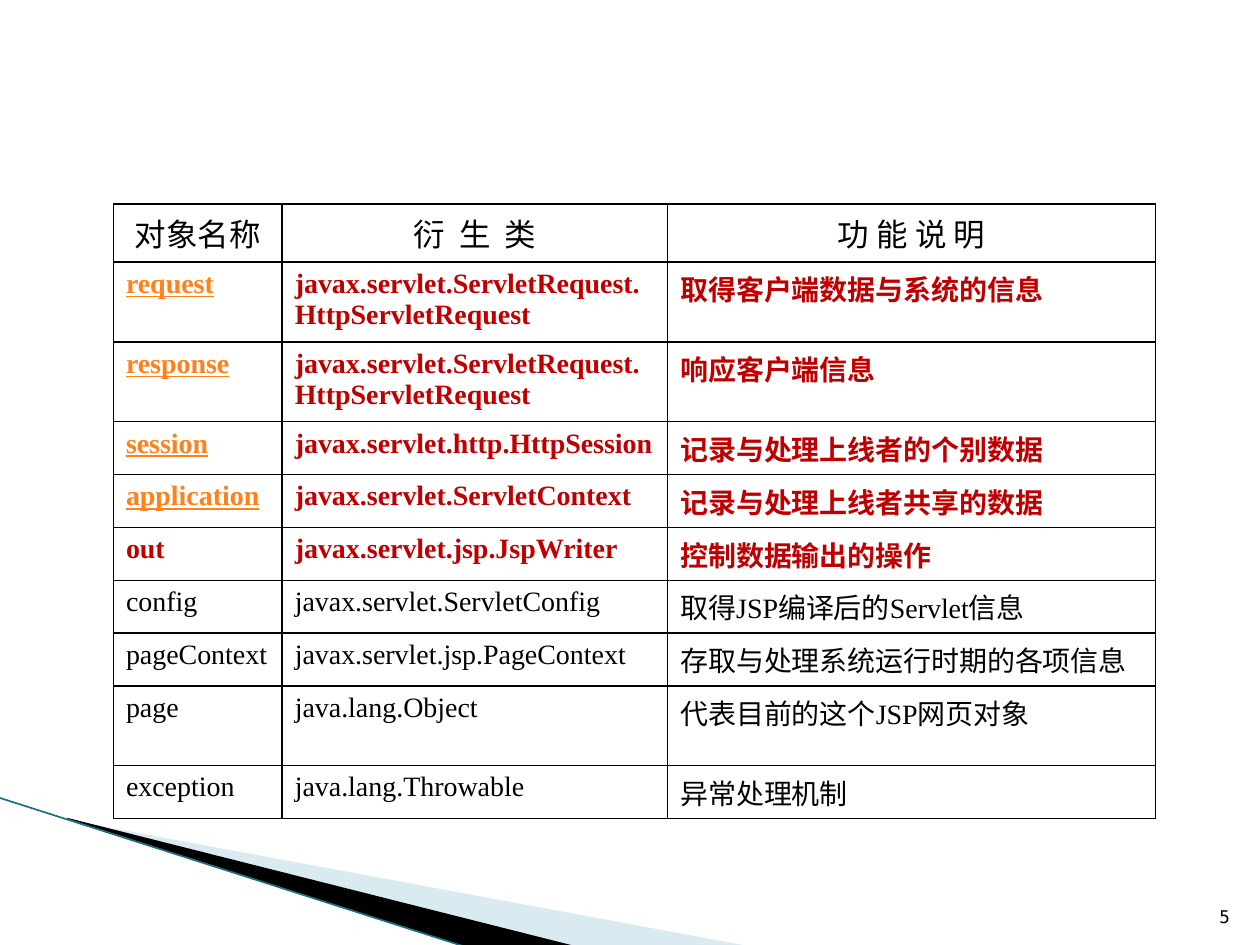
from lxml import etree
from pptx import Presentation
from pptx import util as u
from pptx.dml.color import RGBColor
from pptx.enum import shapes, text
from pptx.oxml import parse_xml
from pptx.oxml.ns import nsdecls, qn

COLORS = {
    "ink": "000000",
    "key": "C00000",
    "link": "FF8119",
    "pale": "A0CBDC",
    "edge": "1B6E83",
}
HEADINGS = ["对象名称", "衍  生  类", "功 能 说 明"]
REQUEST_CLASS = "javax.servlet.ServletRequest.\nHttpServletRequest"
OBJECTS = [
    ("request", REQUEST_CLASS, "取得客户端数据与系统的信息"),
    ("response", REQUEST_CLASS, "响应客户端信息"),
    ("session", "javax.servlet.http.HttpSession", "记录与处理上线者的个别数据"),
    ("application", "javax.servlet.ServletContext", "记录与处理上线者共享的数据"),
    ("out", "javax.servlet.jsp.JspWriter", "控制数据输出的操作"),
    ("config", "javax.servlet.ServletConfig", "取得JSP编译后的Servlet信息"),
    ("pageContext", "javax.servlet.jsp.PageContext", "存取与处理系统运行时期的各项信息"),
    ("page", "java.lang.Object", "代表目前的这个JSP网页对象"),
    ("exception", "java.lang.Throwable", "异常处理机制"),
]
LINKED = {"request", "response", "session", "application"}
KEY_OBJECTS = LINKED | {"out"}
TALL_ROWS = {"request", "response", "page"}
COLUMN_WIDTHS = [1.34, 3.06, 3.87]


def rgb(name):
    return RGBColor.from_string(COLORS[name])


class SlideBuilder:
    def __init__(self, page):
        self.page = page

    def style(self, para, font, size, color="ink", bold=False, underline=False):
        para.font.name = font
        para.font.size = u.Pt(size)
        para.font.color.rgb = rgb(color)
        para.font.bold = bold
        para.font.underline = underline

    def wedge(self, points, color, opacity=100):
        corners = [(u.Inches(x), u.Inches(y)) for x, y in points]
        builder = self.page.shapes.build_freeform(*corners[0])
        builder.add_line_segments(corners[1:], close=True)
        shape = builder.convert_to_shape()
        shape.shadow.inherit = False
        shape.line.fill.background()
        shape.fill.solid()
        shape.fill.fore_color.rgb = rgb(color)
        if opacity < 100:
            fill_color = shape._element.spPr.find(".//" + qn("a:srgbClr"))
            etree.SubElement(fill_color, qn("a:alpha"), val=str(opacity * 1000))

    def line(self, start, end, color, width):
        ends = [u.Inches(value) for value in (*start, *end)]
        line = self.page.shapes.add_connector(shapes.MSO_CONNECTOR.STRAIGHT, *ends)
        line.line.color.rgb = rgb(color)
        line.line.width = u.Pt(width)
        etree.SubElement(line._element.spPr, qn("a:effectLst"))

    def label(self, words, left, top, width, height):
        box = self.page.shapes.add_textbox(
            u.Inches(left), u.Inches(top), u.Inches(width), u.Inches(height))
        frame = box.text_frame
        frame.word_wrap = True
        frame.vertical_anchor = text.MSO_ANCHOR.BOTTOM
        para = frame.paragraphs[0]
        para.text = words
        para.alignment = text.PP_ALIGN.RIGHT
        self.style(para, "DejaVu Sans Mono", 10)

    def table(self, left, top, widths, heights):
        frame = self.page.shapes.add_table(
            len(heights), len(widths), u.Inches(left), u.Inches(top),
            u.Inches(sum(widths)), u.Inches(sum(heights)))
        table = frame.table
        table.first_row = table.horz_banding = False
        for column, width in zip(table.columns, widths):
            column.width = u.Inches(width)
        for row, height in zip(table.rows, heights):
            row.height = u.Inches(height)
        return table

    def cell(self, cell, words, borders, centered=False, **style):
        cell.text = words
        cell.fill.background()
        for para in cell.text_frame.paragraphs:
            if centered:
                para.alignment = text.PP_ALIGN.CENTER
            self.style(para, **style)
        properties = cell._tc.get_or_add_tcPr()
        for index, (side, width) in enumerate(borders.items()):
            properties.insert(index, parse_xml(
                f'<a:ln{side} {nsdecls("a")} w="{u.Pt(width)}"><a:solidFill>'
                f'<a:srgbClr val="{COLORS["ink"]}"/></a:solidFill></a:ln{side}>'))


def main():
    deck = Presentation()
    deck.slide_width, deck.slide_height = u.Inches(10), u.Inches(7.5)
    page = deck.slides.add_slide(deck.slide_layouts[6])
    builder = SlideBuilder(page)

    # Corner decoration
    builder.wedge([(0.55, 6.51), (5.95, 7.51), (4.56, 7.51), (0.55, 6.5)], "pale", 40)
    builder.wedge([(0.53, 6.49), (4.57, 7.51), (3.72, 7.52), (0.54, 6.5)], "ink")
    builder.line((-0.01, 6.33), (3.71, 7.52), "edge", 0.95)

    # Page number
    builder.label("5", 9.46, 7.01, 0.4, 0.4)

    # Table of implicit objects
    heights = [0.46] + [0.63 if row[0] in TALL_ROWS else 0.42 for row in OBJECTS]
    table = builder.table(0.9, 1.62, COLUMN_WIDTHS, heights)
    last = len(COLUMN_WIDTHS) - 1
    for r, row in enumerate([HEADINGS, *OBJECTS]):
        for c, words in enumerate(row):
            borders = {"L": 1 if c else 0.75, "R": 0.75 if c == last else 1,
                       "T": 1, "B": 1}
            if r == 0:
                style = dict(centered=True, font="Arial", size=18)
            else:
                linked, key = words in LINKED, row[0] in KEY_OBJECTS
                color = "link" if linked else "key" if key else "ink"
                style = dict(font="Times New Roman", size=16, color=color,
                             bold=key, underline=linked)
            builder.cell(table.cell(r, c), words, borders, **style)

    deck.save("out.pptx")


if __name__ == "__main__":
    main()
